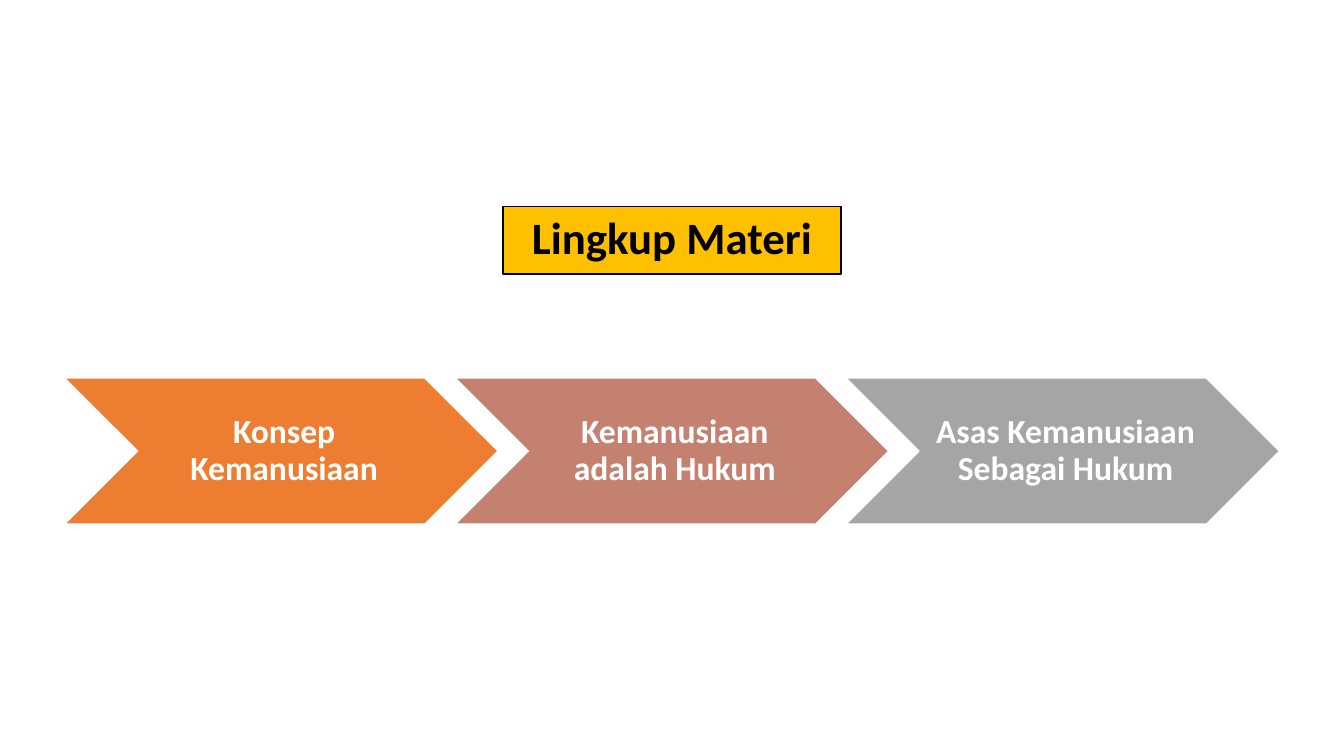
"""Build the "Lingkup Materi" slide: a title box above a row of three chevrons."""
from pptx import Presentation
from pptx.dml.color import RGBColor
from pptx.enum.shapes import MSO_SHAPE
from pptx.enum.text import MSO_ANCHOR, MSO_AUTO_SIZE, PP_ALIGN
from pptx.util import Inches, Pt


def paint(shape, fill, line):
    shape.fill.solid()
    shape.fill.fore_color.rgb = RGBColor.from_string(fill)
    shape.line.color.rgb = RGBColor.from_string(line)
    shape.line.width = Pt(1)


def write(shape, text, size, color):
    frame = shape.text_frame
    frame.word_wrap = True
    frame.auto_size = MSO_AUTO_SIZE.NONE
    frame.vertical_anchor = MSO_ANCHOR.MIDDLE
    para = frame.paragraphs[0]
    para.alignment = PP_ALIGN.CENTER
    para.line_spacing = 0.9
    span = para.add_run()
    span.text = text
    span.font.name = "Calibri"
    span.font.size = Pt(size)
    span.font.bold = True
    span.font.color.rgb = RGBColor.from_string(color)


deck = Presentation()
deck.slide_width = Inches(13.33)
deck.slide_height = Inches(7.5)
page = deck.slides.add_slide(deck.slide_layouts[5])

title = page.shapes.title
title.left, title.top = Inches(4.99), Inches(2.05)
title.width, title.height = Inches(3.35), Inches(0.67)
paint(title, "FFC000", "000000")
write(title, "Lingkup Materi", 32, "000000")

topics = [
    ("Konsep Kemanusiaan", "ED7D31"),
    ("Kemanusiaan adalah Hukum", "C48170"),
    ("Asas Kemanusiaan Sebagai Hukum", "A5A5A5"),
]
first_left, top, width, height = Inches(0.64), Inches(3.75), Inches(4.3), Inches(1.45)
step = Inches(3.875)

for column, (topic, color) in enumerate(topics):
    chevron = page.shapes.add_shape(
        MSO_SHAPE.CHEVRON, first_left + column * step, top, width, height)
    chevron.shadow.inherit = False
    paint(chevron, color, "FFFFFF")
    write(chevron, topic, 24, "FFFFFF")
    frame = chevron.text_frame
    frame.margin_left = Inches(0.1)
    frame.margin_top = frame.margin_right = frame.margin_bottom = Inches(0.04)

deck.save("out.pptx")
